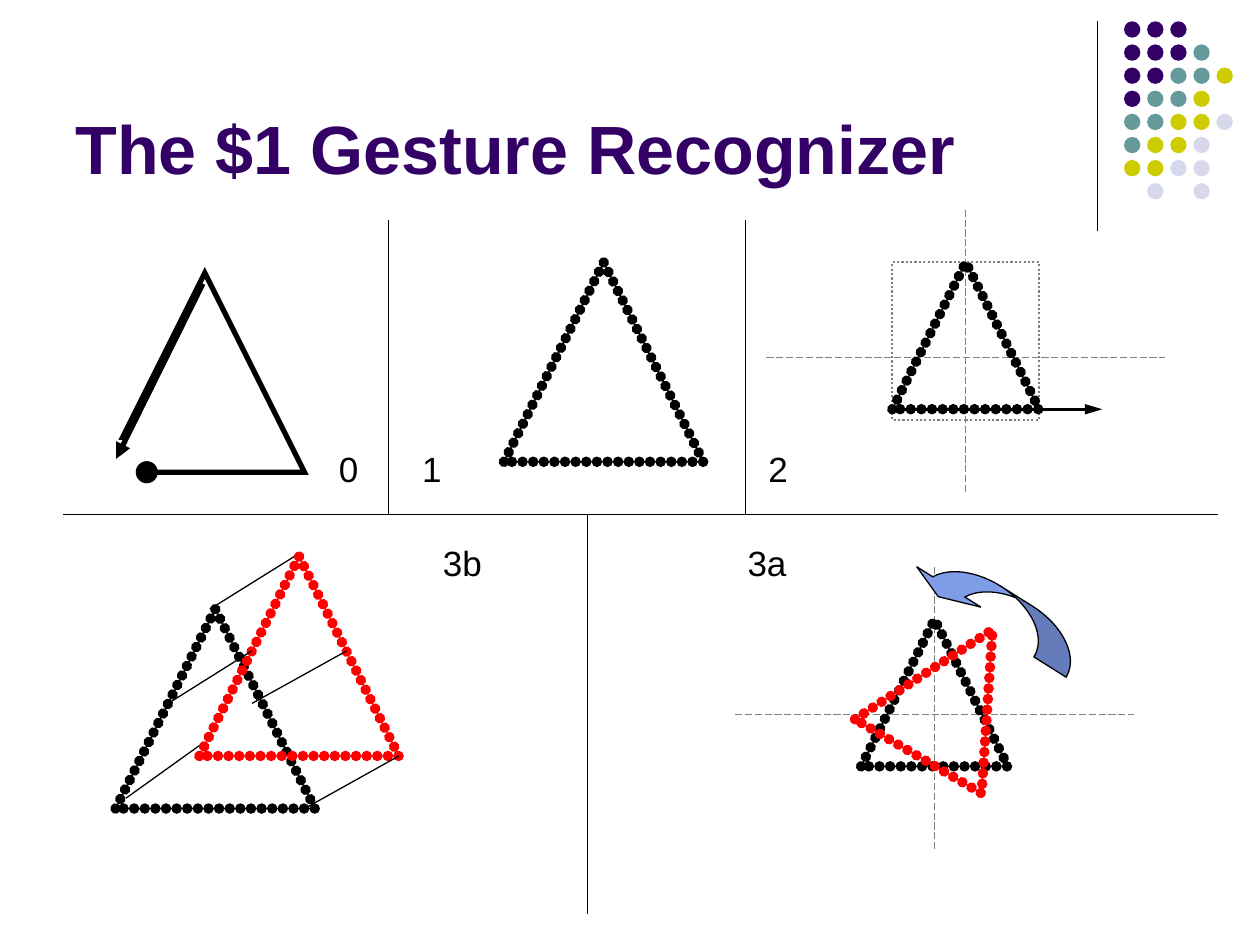
import pptx
import pptx.dml.color
import pptx.enum.dml
import pptx.enum.shapes
import pptx.enum.text
import pptx.oxml
import pptx.util
from lxml import etree

Cm = pptx.util.Cm
KIND = pptx.enum.shapes.MSO_SHAPE
DASH = pptx.enum.dml.MSO_LINE
ANCHOR = pptx.enum.text.MSO_ANCHOR
INK, GREY, RED, WHITE = "000000", "808080", "FF0000", "FFFFFF"
PURPLE = "330066"
HUES = {"p": PURPLE, "t": "669999", "y": "CCCC00", "l": "D8D8EC"}
DOTS = ["ppp", "pppt", "pptty", "ptty", "ttyyl", "tyyl", "yyll", " l l"]
BIG, SMALL = 4.02, 2.96  # triangle sides


def hue(code):
    return pptx.dml.color.RGBColor.from_string(code)


def add_tag(node, tag, **attrs):
    child = etree.SubElement(node, pptx.oxml.ns.qn("a:" + tag))
    for key, val in attrs.items():
        child.set(key, val)
    return child


def stroke(line, color, width, dash=None, beads=False, head=None):
    """Style an outline; beads gives a row of touching round dots."""
    line.color.rgb = hue(color)
    line.width = pptx.util.Pt(width)
    if dash:
        line.dash_style = dash
    ln = line._get_or_add_ln()
    if beads:
        ln.set("cap", "rnd")
        add_tag(add_tag(ln, "custDash"), "ds", d="1000", sp="100000")
    add_tag(ln, "miter", lim="800000")
    if head:
        add_tag(ln, "tailEnd", type="triangle", w="med", len=head)


def shape(slide, kind, x, y, w, h, fill=None, line=None, width=0.75, **style):
    part = slide.shapes.add_shape(kind, Cm(x), Cm(y), Cm(w), Cm(h))
    part.shadow.inherit = False
    if fill:
        part.fill.solid()
        part.fill.fore_color.rgb = hue(fill)
    else:
        part.fill.background()
    if line:
        stroke(part.line, line, width, **style)
    else:
        part.line.fill.background()
    return part


def rule(slide, x1, y1, x2, y2, color=INK, width=0.75, **style):
    part = slide.shapes.add_connector(
        pptx.enum.shapes.MSO_CONNECTOR.STRAIGHT, Cm(x1), Cm(y1), Cm(x2), Cm(y2))
    stroke(part.line, color, width, **style)
    add_tag(part._element.spPr, "effectLst")


def write(frame, text, size=20, color=INK, bold=False, anchor=ANCHOR.TOP, wrap=False):
    frame.word_wrap = wrap
    frame.vertical_anchor = anchor
    para = frame.paragraphs[0]
    para.alignment = pptx.enum.text.PP_ALIGN.LEFT
    run = para.add_run()
    run.text = text
    run.font.name = "Arial"
    run.font.size = pptx.util.Pt(size)
    run.font.bold = bold
    run.font.color.rgb = hue(color)


def label(slide, text, x, y):
    box = slide.shapes.add_textbox(Cm(x), Cm(y), Cm(0.48 + 0.41 * len(text)), Cm(1.12))
    write(box.text_frame, text)


def beads(slide, x, y, side, color=INK):
    return shape(slide, KIND.FLOWCHART_EXTRACT, x, y, side, side,
                 line=color, width=6, beads=True)


def cross(slide, x, y):
    look = dict(color=GREY, width=0.5, dash=DASH.LONG_DASH)
    rule(slide, x + 4.02, y, x + 4.02, y + 5.72, **look)
    rule(slide, x, y + 2.97, x + 8.04, y + 2.97, **look)


def corner(slide, x, y):
    rule(slide, x, y, x, y + 4.22)
    for row, marks in enumerate(DOTS):
        for col, mark in enumerate(marks):
            if mark in HUES:
                shape(slide, KIND.OVAL, x + 0.54 + col * 0.466, y + row * 0.466,
                      0.33, 0.33, fill=HUES[mark])


def heading(slide, x, y, w, h):
    title = slide.shapes.title
    title.left, title.top, title.width, title.height = Cm(x), Cm(y), Cm(w), Cm(h)
    write(title.text_frame, "The $1 Gesture Recognizer", size=39, color=PURPLE,
          bold=True, anchor=ANCHOR.BOTTOM, wrap=True)


def grid(slide, x, y, w):
    rule(slide, x, y, x + w, y)
    for gap in (6.56, 13.76):
        rule(slide, x + gap, y - 5.93, x + gap, y)
    rule(slide, x + 10.58, y, x + 10.58, y + 8.05)


def drawn(slide, x, y):
    """Step 0: the raw stroke, open at its lower left corner."""
    shape(slide, KIND.FLOWCHART_EXTRACT, x + 0.85, y + 1.06, BIG, BIG, line=INK, width=3)
    shape(slide, KIND.RECTANGLE, x + 0.64, y + 4.45, 0.85, 0.85, fill=WHITE, line=WHITE)
    shape(slide, KIND.OVAL, x + 1.48, y + 4.87, 0.42, 0.42, fill=INK, line=INK)
    rule(slide, x + 2.82, y + 1.28, x + 1.07, y + 4.81, width=3, head="med")
    label(slide, "0", x + 5.31, y + 4.45)


def sampled(slide, x, y):
    """Step 1: evenly spaced points."""
    beads(slide, x + 2.33, y + 0.85, BIG)
    label(slide, "1", x + 0.43, y + 4.45)


def scaled(slide, x, y):
    """Step 2: bounding box and axis."""
    cross(slide, x, y)
    shape(slide, KIND.RECTANGLE, x + 2.54, y + 1.06, SMALL, 3.18,
          line=GREY, width=1.25, dash=DASH.ROUND_DOT)
    beads(slide, x + 2.54, y + 1.06, SMALL)
    rule(slide, x + 2.54, y + 4.02, x + 6.77, y + 4.02, width=1.5, head="lg")
    label(slide, "2", x - 0.21, y + 4.66)


def turned(slide, x, y):
    """Step 3a: rotation to the best angle."""
    cross(slide, x, y)
    beads(slide, x + 2.54, y + 1.06, SMALL)
    beads(slide, x + 2.96, y + 1.06, SMALL, RED).rotation = 30.4
    arrow = shape(slide, KIND.CURVED_UP_ARROW, x + 3.38, y + 0.42, 3.81, 0.85,
                  fill="7E9CE8", line=INK)
    arrow.rotation = 212.2
    for spot, size in enumerate((0.9, 1.8, 0.33)):
        arrow.adjustments[spot] = size
    label(slide, "3a", x, y - 0.63)


def matched(slide, x, y):
    """Step 3b: paired points of two triangles."""
    beads(slide, x + 0.21, y + 1.06, BIG)
    beads(slide, x + 1.9, y, BIG, RED)
    links = [(2.11, 1.06, 3.81, 0), (0.42, 4.87, 1.9, 3.81), (4.02, 5.08, 5.92, 4.02),
             (1.27, 2.96, 2.96, 1.9), (2.96, 2.96, 4.87, 1.9)]
    for x1, y1, x2, y2 in links:
        rule(slide, x + x1, y + y1, x + x2, y + y2)
    label(slide, "3b", x + 6.56, y - 0.42)


def main():
    deck = pptx.Presentation()
    deck.slide_width, deck.slide_height = Cm(25.4), Cm(19.05)
    slide = deck.slides.add_slide(deck.slide_layouts[5])
    corner(slide, 22.12, 0.43)
    heading(slide, 1.27, 0.33, 20.96, 3.6)
    # Steps
    drawn(slide, 1.27, 4.44)
    sampled(slide, 7.83, 4.44)
    scaled(slide, 15.45, 4.23)
    turned(slide, 14.82, 11.43)
    matched(slide, 2.12, 11.22)
    # Panel dividers
    grid(slide, 1.27, 10.37, 23.28)
    deck.save("out.pptx")


if __name__ == "__main__":
    main()
